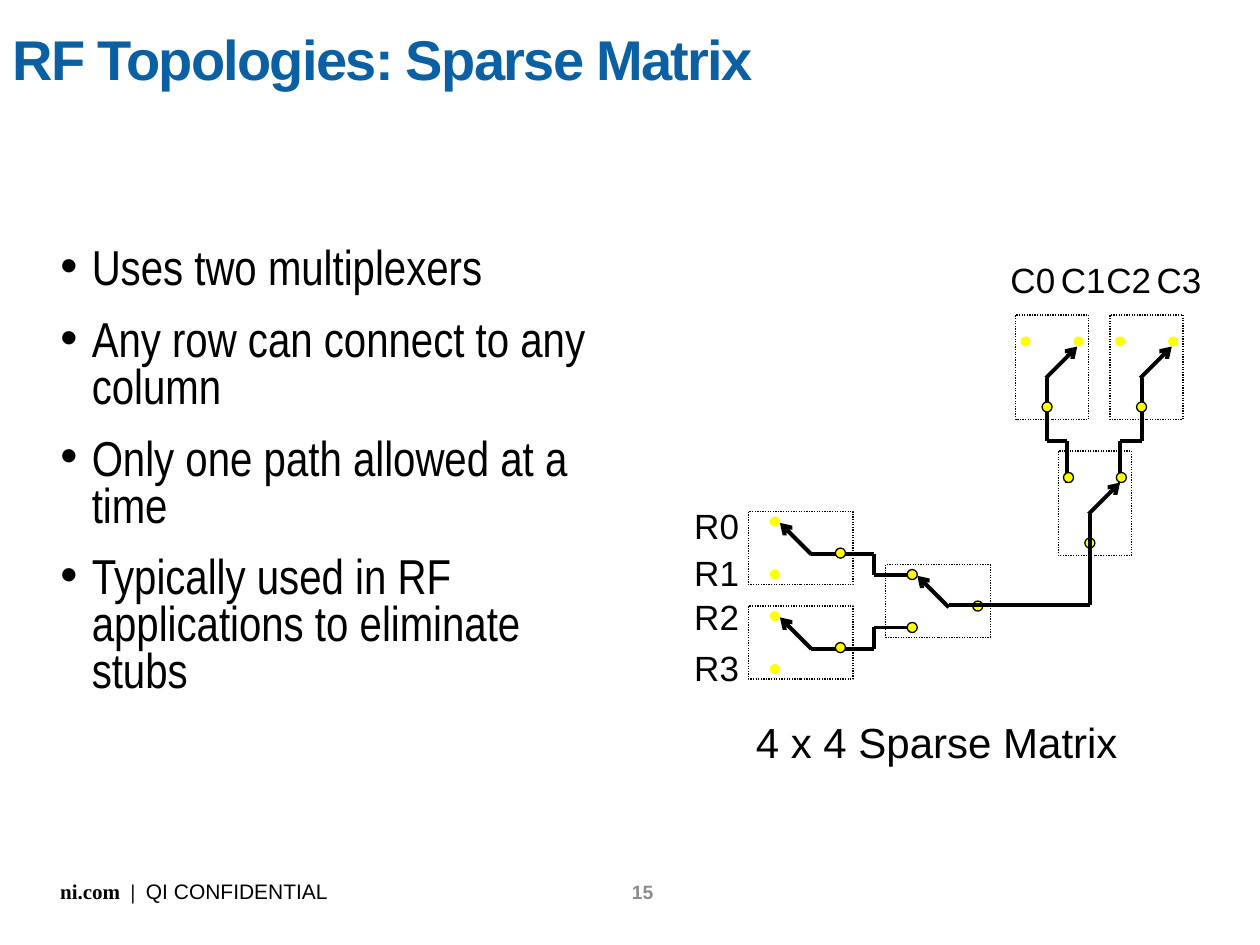
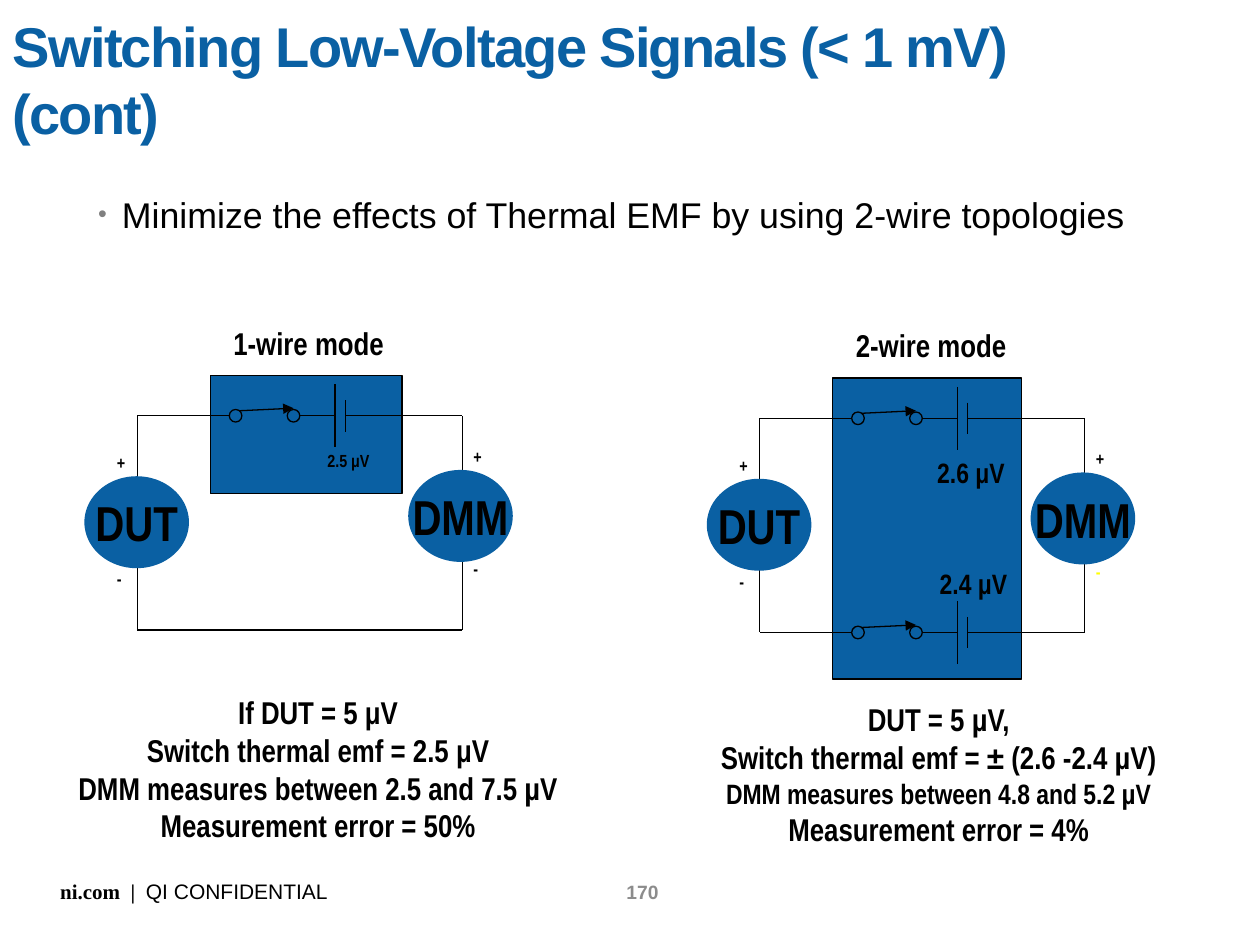
import itertools

import pptx
import pptx.dml.color
import pptx.enum.dml
import pptx.enum.shapes
import pptx.enum.text
import pptx.util
from lxml import etree
from pptx.oxml.ns import qn

Inches = pptx.util.Inches
Pt = pptx.util.Pt
SHAPE = pptx.enum.shapes.MSO_SHAPE
ANCHOR = pptx.enum.text.MSO_ANCHOR
ALIGN = pptx.enum.text.PP_ALIGN

BLUE, BLACK, GRAY, YELLOW = "0A60A3", "000000", "8C8C8C", "FFFF00"
SANS, NARROW, SERIF = "Arial", "Arial Narrow", "Times New Roman"
LONG, SHORT = 0.83, 0.58  # sides of a relay


def color(code):
    return pptx.dml.color.RGBColor.from_string(code)


def style(run, size, font=SANS, ink=BLACK, bold=False):
    run.font.size = Pt(size)
    run.font.name = font
    run.font.bold = bold
    run.font.color.rgb = color(ink)


def write(frame, lines, size, font=SANS, ink=BLACK, bold=False,
          align=ALIGN.LEFT, wrap=True, anchor=ANCHOR.TOP):
    frame.text = "\n".join(lines)
    frame.word_wrap = wrap
    frame.vertical_anchor = anchor
    for para in frame.paragraphs:
        para.alignment = align
        for run in para.runs:
            style(run, size, font, ink, bold)


def label(slide, box, lines, size, **look):
    frame = slide.shapes.add_textbox(*map(Inches, box)).text_frame
    write(frame, lines, size, **look)
    return frame


def bullet(para, indent, tint=None, scale=None):
    props = para._p.get_or_add_pPr()
    props.set("marL", str(Inches(indent)))
    props.set("indent", str(-Inches(indent)))
    if tint:
        holder = etree.SubElement(props, qn("a:buClr"))
        etree.SubElement(holder, qn("a:srgbClr"), val=tint)
    if scale:
        etree.SubElement(props, qn("a:buSzPct"), val=str(scale * 1000))
    etree.SubElement(props, qn("a:buFont"), typeface=SANS)
    etree.SubElement(props, qn("a:buChar"), char="•")
    para.line_spacing = 0.8


def block(slide, kind, box, fill=None, edge=BLACK, dotted=False):
    shape = slide.shapes.add_shape(kind, *map(Inches, box))
    shape.shadow.inherit = False
    if fill:
        shape.fill.solid()
        shape.fill.fore_color.rgb = color(fill)
    else:
        shape.fill.background()
    if edge:
        shape.line.color.rgb = color(edge)
        shape.line.width = Pt(0.75)
    else:
        shape.line.fill.background()
    if dotted:
        shape.line.dash_style = pptx.enum.dml.MSO_LINE.ROUND_DOT
    return shape


def wire(slide, points, width=0.75, head=None):
    """Join the points with straight lines; head is the arrow type at the end."""
    for start, end in itertools.pairwise(points):
        line = slide.shapes.add_connector(
            pptx.enum.shapes.MSO_CONNECTOR.STRAIGHT, *map(Inches, start + end))
        line.line.color.rgb = color(BLACK)
        line.line.width = Pt(width)
        etree.SubElement(line._element.spPr, qn("a:effectLst"))
        if head:
            etree.SubElement(line.line._get_or_add_ln(), qn("a:tailEnd"), type=head)


def page(deck, title, width, height, number):
    slide = deck.slides.add_slide(deck.slide_layouts[5])
    head = slide.shapes.title
    head.left, head.top = Inches(0), Inches(0)
    head.width, head.height = Inches(width), Inches(height)
    write(head.text_frame, [title], 32, ink=BLUE, bold=True, anchor=ANCHOR.MIDDLE)
    head.text_frame.auto_size = pptx.enum.text.MSO_AUTO_SIZE.NONE
    head.text_frame.paragraphs[0].runs[0].font._element.set("spc", "-100")

    label(slide, (4.81, 6.94, 0.58, 0.28), [number], 11, ink=GRAY, bold=True,
          align=ALIGN.CENTER, anchor=ANCHOR.MIDDLE)
    foot = label(slide, (0.38, 6.92, 2.37, 0.3), ["ni.com  |  "], 12,
                 font=SERIF, bold=True, wrap=False)
    run = foot.paragraphs[0].add_run()
    run.text = "QI CONFIDENTIAL"
    style(run, 12)
    return slide


def relay(slide, left, top, upright=False, outer=True):
    """Draw a two-way switch; upright turns it a quarter clockwise."""
    def place(along, across):
        if upright:
            return left + SHORT - across, top + along
        return left + along, top + across

    size = (SHORT, LONG) if upright else (LONG, SHORT)
    wire(slide, [place(0.5, 0.34), place(0.25, 0.09)], 2.25, "arrow")
    block(slide, SHAPE.RECTANGLE, (left, top) + size, dotted=True)
    edge = None if outer else BLACK
    for spot, rim in (((0.21, 0.08), edge), ((0.21, 0.5), edge),
                      ((0.73, 0.33), BLACK)):
        x, y = place(*spot)
        block(slide, SHAPE.OVAL, (x - 0.04, y - 0.04, 0.08, 0.08), YELLOW, rim)


def matrix(slide, left, top):
    def thick(*points):
        wire(slide, [(left + x, top + y) for x, y in points], 2.25)

    for start, end in ((2.4, 2.56), (3.15, 2.98)):
        thick((0.94, start), (1.44, start), (1.44, end), (1.78, end))
    for start, end in ((2.81, 2.97), (3.56, 3.39)):
        thick((start, 1), (start, 1.5), (end, 1.5), (end, 1.83))
    for y in (2.06, 2.81):
        relay(slide, left + 0.44, top + y)
    relay(slide, left + 1.53, top + 2.48, outer=False)
    for x in (2.56, 3.31):
        relay(slide, left + x, top + 0.5, upright=True)
    relay(slide, left + 2.9, top + 1.58, upright=True, outer=False)
    thick((2.03, 2.8), (3.15, 2.8), (3.15, 2.08))

    rows = [(0, y) for y in (1.99, 2.37, 2.72, 3.12)]
    cols = [(x, 0.04) for x in (2.51, 2.91, 3.27, 3.67)]
    for sign, spots in (("R", rows), ("C", cols)):
        for i, (x, y) in enumerate(spots):
            frame = label(slide, (left + x, top + y, 0.48, 0.35), [f"{sign}{i}"], 20)
            frame.margin_left = frame.margin_right = Inches(0.01)
            frame.margin_top = frame.margin_bottom = Inches(0.01)
    label(slide, (left + 0.4, top + 3.64, 3.58, 0.5), ["4 x 4 Sparse Matrix"], 24)


def points(slide, box):
    frame = label(slide, box, [
        "Uses two multiplexers",
        "Any row can connect to any column",
        "Only one path allowed at a time",
        "Typically used in RF applications to eliminate stubs",
    ], 28, font=NARROW)
    for i, para in enumerate(frame.paragraphs):
        bullet(para, 0.25)
        if i:
            para.space_before = Pt(14)


def branch(slide, left, top):
    """Draw a closed switch in series with a thermal voltage source."""
    wire(slide, [(left, top), (left + 0.73, top)])
    for x in (0.73, 1.19):
        block(slide, SHAPE.OVAL, (left + x, top - 0.05, 0.1, 0.1), BLUE)
    wire(slide, [(left + 0.81, top - 0.04), (left + 1.24, top - 0.06)], head="triangle")
    wire(slide, [(left + 1.29, top), (left + 1.57, top)])
    for x, half in ((1.57, 0.25), (1.65, 0.125)):
        wire(slide, [(left + x, top - half), (left + x, top + half)])
    wire(slide, [(left + 1.65, top), (left + 2.58, top)])


def circuit(slide, left, top, mode, chip, volts, size, minus=BLACK):
    """Draw a DUT and a DMM joined by one branch per entry of volts."""
    bold = dict(font=NARROW, bold=True)
    far, low = left + 2.58, top + 1.7
    block(slide, SHAPE.RECTANGLE, (left + 0.58, top - 0.32) + chip, BLUE)
    for x in (left, far):
        wire(slide, [(x, top), (x, low)])
    branch(slide, left, top)
    if len(volts) > 1:
        branch(slide, left, low)
    else:
        wire(slide, [(left, low), (far, low)])

    for name, x, y in (("DUT", -0.42, 0.48), ("DMM", 2.15, 0.43)):
        disc = block(slide, SHAPE.OVAL, (left + x, top + y, 0.83, 0.73), BLUE, None)
        write(disc.text_frame, [name], 28, align=ALIGN.CENTER, wrap=False,
              anchor=ANCHOR.MIDDLE, **bold)
    for sign, x, y, ink in (("+", -0.26, 0.24, BLACK), ("+", 2.57, 0.19, BLACK),
                            ("-", -0.26, 1.16, BLACK), ("-", 2.57, 1.08, minus)):
        label(slide, (left + x, top + y, 0.27, 0.27), [sign], 10, ink=ink,
              wrap=False, **bold)
    for volt, x, y in volts:
        label(slide, (left + x, top + y, 0.9, 0.37), [volt], size, **bold)
    label(slide, (left + 0.57, top - 0.78, 1.58, 0.4), [mode], 18, wrap=False,
          align=ALIGN.CENTER, anchor=ANCHOR.MIDDLE, **bold)


def result(slide, box, lines):
    return label(slide, box, lines, 18, font=NARROW, bold=True,
                 align=ALIGN.CENTER, wrap=False)


def sparse(deck):
    slide = page(deck, "RF Topologies: Sparse Matrix", 7.45, 0.93, "15")
    matrix(slide, 5.5, 2)
    points(slide, (0.38, 1.92, 4.68, 3.82))


def thermal(deck):
    slide = page(deck, "Switching Low-Voltage Signals (< 1 mV) (cont)", 9.15, 1.25, "170")
    frame = label(slide, (0.68, 1.55, 8.37, 0.56),
                  ["Minimize the effects of Thermal EMF by using 2-wire topologies"], 20.4)
    bullet(frame.paragraphs[0], 0.19, "808080", 70)

    circuit(slide, 1.09, 3.3, "1-wire mode", (1.52, 0.94),
            [("2.5 μV", 1.41, 0.22)], 10)
    circuit(slide, 6.03, 3.32, "2-wire mode", (1.5, 2.39),
            [("2.6 μV", 1.31, 0.25), ("2.4 μV", 1.33, 1.13)], 16, YELLOW)
    result(slide, (0.49, 5.45, 4.07, 1.31), [
        "If DUT = 5 μV",
        "Switch thermal emf = 2.5 μV",
        "DMM measures between 2.5 and 7.5 µV",
        "Measurement error = 50%",
    ])
    frame = result(slide, (5.59, 5.51, 3.72, 1.28), [
        "DUT = 5 µV,",
        "Switch thermal emf = ± (2.6 -2.4 µV)",
        "DMM measures between 4.8 and 5.2 µV",
        "Measurement error = 4%",
    ])
    frame.paragraphs[2].runs[0].font.size = Pt(16)


def main():
    deck = pptx.Presentation()
    deck.slide_width, deck.slide_height = Inches(10), Inches(7.5)
    sparse(deck)
    thermal(deck)
    deck.save("out.pptx")


if __name__ == "__main__":
    main()
